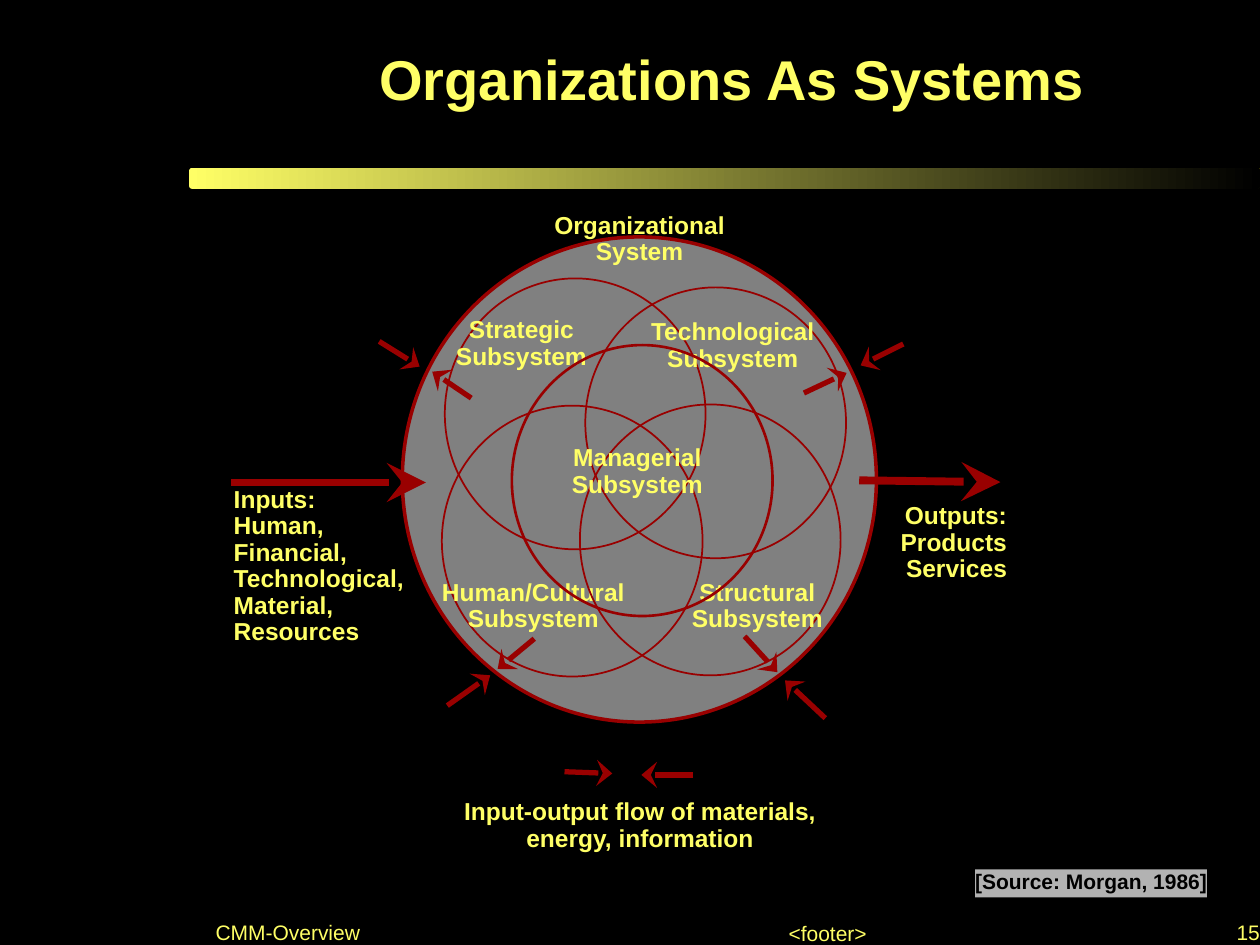
from lxml.etree import SubElement
from pptx import Presentation
from pptx.dml.color import RGBColor
from pptx.enum.shapes import MSO_CONNECTOR as CONN, MSO_SHAPE as SHAPE
from pptx.enum.text import MSO_ANCHOR as ANCHOR, PP_ALIGN as ALIGN
from pptx.oxml.ns import qn
from pptx.util import Pt

COLORS = {"back": "000000", "text": "FFFF66", "line": "990000",
          "disc": "808080", "source": "B2B2B2"}
ALIGNS = {"l": ALIGN.LEFT, "c": ALIGN.CENTER, "r": ALIGN.RIGHT}
ANCHORS = {"m": ANCHOR.MIDDLE, "b": ANCHOR.BOTTOM}
SUBSYSTEM_SIZE = (149, 154.8)


def rgb(name):
    return RGBColor.from_string(COLORS[name])


def write(sp, text, size=14, color="text", bold=True, align="c", anchor="m",
          spacing=0.9, bottom=3.6, wrap=False):
    tf = sp.text_frame
    tf.word_wrap = wrap
    tf.vertical_anchor = ANCHORS[anchor]
    tf.margin_left = tf.margin_right = tf.margin_top = 0
    tf.margin_bottom = Pt(bottom)
    for i, line in enumerate(text.split("\n")):
        p = tf.paragraphs[0] if i == 0 else tf.add_paragraph()
        p.alignment = ALIGNS[align]
        p.line_spacing = spacing
        p.space_before = Pt(0)
        r = p.add_run()
        r.text = line
        r.font.name = "Arial"
        r.font.size = Pt(size)
        r.font.bold = bold
        r.font.color.rgb = rgb(color)


def add_label(s, text, x, y, w, h, **fmt):
    write(s.shapes.add_textbox(Pt(x), Pt(y), Pt(w), Pt(h)), text, **fmt)


def add_shape(s, kind, x, y, w, h, fill=None, line=None):
    sp = s.shapes.add_shape(kind, Pt(x), Pt(y), Pt(w), Pt(h))
    sp.shadow.inherit = False
    if fill:
        sp.fill.solid()
        sp.fill.fore_color.rgb = rgb(fill)
    else:
        sp.fill.background()
    if line:
        sp.line.color.rgb = rgb("line")
        sp.line.width = Pt(line)
    else:
        sp.line.fill.background()
    return sp


def add_arrow(s, x1, y1, x2, y2, width=3, length="med"):
    c = s.shapes.add_connector(CONN.STRAIGHT, Pt(x1), Pt(y1), Pt(x2), Pt(y2))
    c.line.color.rgb = rgb("line")
    c.line.width = Pt(width)
    SubElement(c.line._get_or_add_ln(), qn("a:tailEnd"),
               type="stealth", w="lg", len=length)
    SubElement(c._element.spPr, qn("a:effectLst"))


def add_title(s, text):
    sp = s.shapes.title
    sp.left, sp.top, sp.width, sp.height = Pt(116.6), Pt(0), Pt(603.4), Pt(96.6)
    write(sp, text, size=32, spacing=0.8, bottom=0, wrap=True)


def add_title_bar(s):
    bar = add_shape(s, SHAPE.ROUNDED_RECTANGLE, 108, 95.8, 612, 12.2)
    bar.fill.gradient()
    bar.fill.gradient_angle = 0
    for stop, name in zip(bar.fill.gradient_stops, ("text", "back")):
        stop.color.rgb = rgb(name)


def add_subsystem(s, name, circle, label, line=1):
    add_shape(s, SHAPE.OVAL, *circle, *SUBSYSTEM_SIZE, line=line)
    add_label(s, name + "\nSubsystem", *label, 33.8)


def main():
    prs = Presentation()
    prs.slide_width, prs.slide_height = Pt(720), Pt(540)
    s = prs.slides.add_slide(prs.slide_layouts[5])
    s.background.fill.solid()
    s.background.fill.fore_color.rgb = rgb("back")

    # Heading
    add_title_bar(s)
    add_title(s, "Organizations As Systems")

    # Whole organization
    add_shape(s, SHAPE.OVAL, 229.9, 135.4, 270.9, 277.2, fill="disc", line=2)
    add_label(s, "Organizational\nSystem", 311.5, 121.7, 108, 33.8)

    # Inputs and outputs
    add_label(s, "Inputs:\nHuman,\nFinancial,\nTechnological,\nMaterial,\nResources",
              133.6, 278.4, 108, 94.3, align="l")
    add_arrow(s, 132, 275.7, 243.4, 275.7, width=4.5, length="lg")
    add_label(s, "Outputs:\nProducts\nServices", 505.5, 287.6, 70, 49, align="r")
    add_arrow(s, 491, 274.5, 571.7, 275.5, width=4.5, length="lg")

    # Flows across the boundary
    for ends in [(425.5, 363.6, 444.2, 384.1), (471.6, 410.4, 448.6, 388.8),
                 (255.6, 403.2, 280.1, 385.9), (516.2, 196.6, 491.8, 208.8),
                 (459.4, 224.6, 483.8, 213.1), (216.7, 195.1, 239.8, 209.5),
                 (269.3, 227.5, 247, 212.4), (305.3, 365, 284.4, 382.3)]:
        add_arrow(s, *ends)

    # Legend for the flow arrows
    add_arrow(s, 322.6, 441, 349.9, 442)
    add_arrow(s, 396, 442.8, 366.5, 442.8)
    add_label(s, "Input-output flow of materials,\nenergy, information",
              255.8, 456.8, 220, 33.8)

    # Overlapping subsystems
    add_subsystem(s, "Strategic", (254.2, 159.1), (253, 181.4, 90))
    add_subsystem(s, "Human/Cultural", (252.5, 231.8), (244.8, 331.5, 120))
    add_subsystem(s, "Structural", (331.4, 231.1), (387.8, 331.5, 90))
    add_subsystem(s, "Technological", (334.5, 164.2), (363.7, 182.6, 110))
    add_subsystem(s, "Managerial", (292.5, 197.2), (319.2, 254.6, 90), line=1.5)

    # Source and footer
    source = add_shape(s, SHAPE.RECTANGLE, 557.2, 496.8, 132.5, 16, fill="source")
    write(source, "[Source: Morgan, 1986]", size=12, color="back", align="l",
          spacing=0.97, bottom=1.5)
    footer = dict(size=12, bold=False, anchor="b", bottom=0)
    add_label(s, "CMM-Overview", 123.2, 517, 116.5, 23, align="l", spacing=0.8, **footer)
    add_label(s, "<footer>", 438, 526.3, 70, 14.4, spacing=1, **footer)
    add_label(s, "15", 700, 528.5, 20, 11.5, align="r", spacing=0.8, **footer)

    prs.save("out.pptx")


if __name__ == "__main__":
    main()
